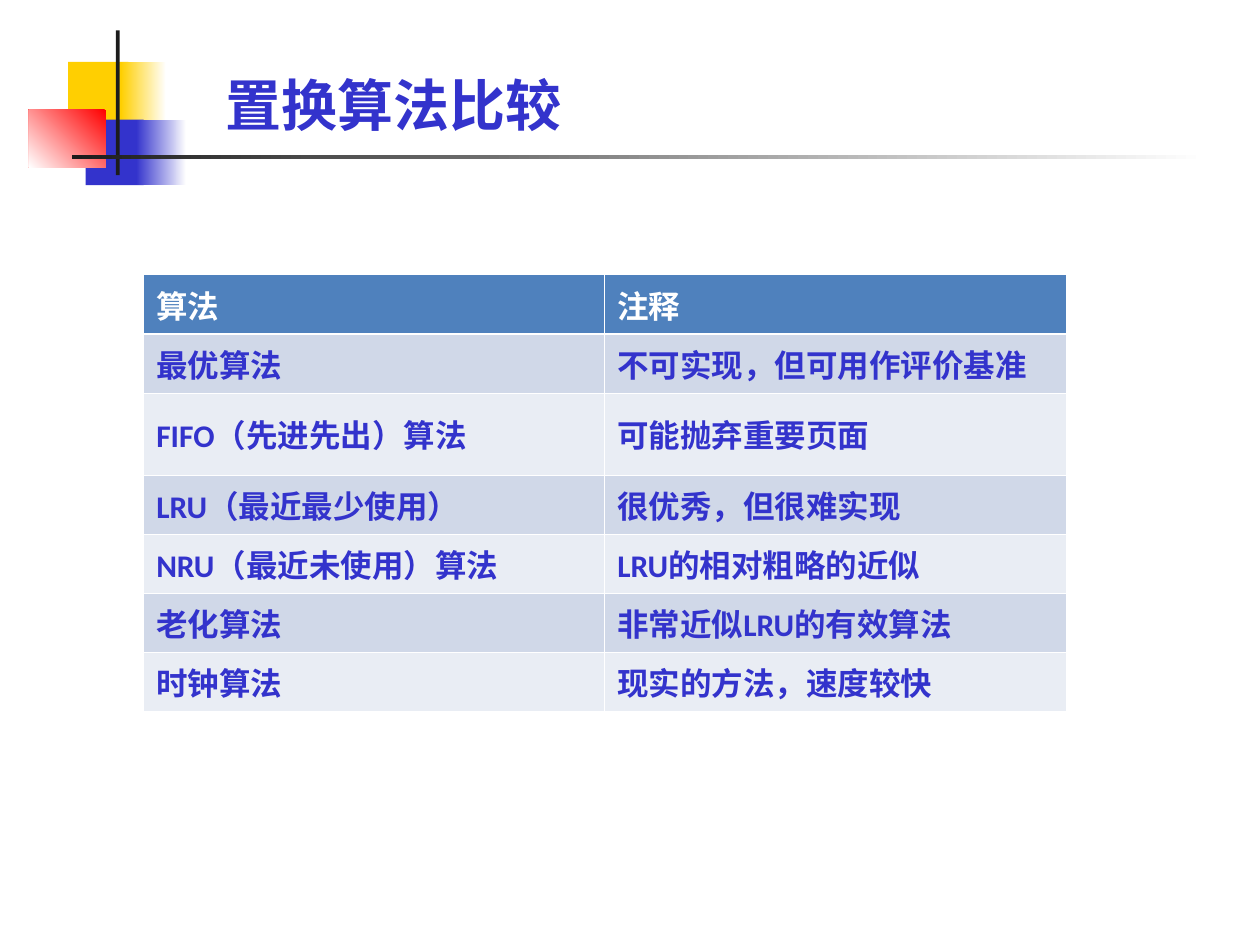
from lxml.etree import SubElement
from pptx import Presentation
from pptx.dml.color import RGBColor as RGB
from pptx.enum.shapes import MSO_SHAPE as Preset
from pptx.enum.text import MSO_ANCHOR as Anchor, MSO_AUTO_SIZE as AutoSize, PP_ALIGN as Align
from pptx.oxml import parse_xml
from pptx.oxml.ns import nsdecls, qn
from pptx.util import Inches, Pt

TITLE = "置换算法比较"
COMPARISON = [
    ("算法", "注释"),
    ("最优算法", "不可实现，但可用作评价基准"),
    ("FIFO（先进先出）算法", "可能抛弃重要页面"),
    ("LRU（最近最少使用）", "很优秀，但很难实现"),
    ("NRU（最近未使用）算法", "LRU的相对粗略的近似"),
    ("老化算法", "非常近似LRU的有效算法"),
    ("时钟算法", "现实的方法，速度较快"),
]
THEME = {
    "white": "FFFFFF", "blue": "3333CC", "yellow": "FFCF01", "red": "FF0000",
    "dark": "1C1C1C", "header": "4F81BD", "bands": ("E9EDF4", "D0D8E8"),
    "latin": "Calibri", "cjk": "Noto Sans CJK SC",
    "title_size": 32, "table_size": 18, "thin": 0.45, "thick": 1.47,
}
ORNAMENTS = [
    ((0.54, 0.49, 0.48, 0.52), ("yellow",), None),
    ((0.96, 0.49, 0.36, 0.52), ("white", "yellow"), 180),
    ((0.68, 0.95, 0.46, 0.52), ("blue",), None),
    ((1.08, 0.95, 0.4, 0.52), ("white", "blue"), 180),
    ((0.23, 0.87, 0.61, 0.46), ("red", "white"), 225),
    ((0.92, 0.24, 0.03, 1.15), ("dark",), None),
    ((0.57, 1.23, 9, 0.03), ("white", "dark"), 180),
]
TITLE_BOX = (1.69, 0.44, 3.15, 0.7)
TABLE_BOX = (1.14, 2.18, 7.32, 3.46)
ROW_HEIGHT, TALL_ROW, TALL_HEIGHT = 0.47, 2, 0.65


def inches(box):
    return [Inches(length) for length in box]


def apply(target, formats):
    for key, setting in formats.items():
        setattr(target, key, setting)


def write(frame, words, size, color, latin):
    paragraph = frame.paragraphs[0]
    paragraph.alignment = Align.LEFT
    run = paragraph.add_run()
    run.text = words
    apply(run.font, {"size": Pt(size), "bold": True, "name": latin})
    run.font.color.rgb = RGB.from_string(color)
    SubElement(run.font._element, qn("a:ea"), typeface=THEME["cjk"])


def add_ornament(slide, box, colors, angle):
    ornament = slide.shapes.add_shape(Preset.RECTANGLE, *inches(box))
    ornament.shadow.inherit = False
    ornament.line.fill.background()
    if angle is None:
        ornament.fill.solid()
        ornament.fill.fore_color.rgb = RGB.from_string(THEME[colors[0]])
        return
    ornament.fill.gradient()
    ornament.fill.gradient_angle = angle
    for stop, color, position in zip(ornament.fill.gradient_stops, colors, (0, 1)):
        stop.color.rgb = RGB.from_string(THEME[color])
        stop.position = position


def add_borders(cell, row):
    thin, thick = THEME["thin"], THEME["thick"]
    widths = {
        "lnL": thin, "lnR": thin,
        "lnT": thick if row == 1 else thin,
        "lnB": thick if row == 0 else thin,
    }
    properties = cell._tc.get_or_add_tcPr()
    for index, (edge, width) in enumerate(widths.items()):
        properties.insert(index, parse_xml(
            f'<a:{edge} {nsdecls("a")} w="{Pt(width)}"><a:solidFill>'
            f'<a:srgbClr val="{THEME["white"]}"/></a:solidFill></a:{edge}>'))


def add_comparison(slide):
    table = slide.shapes.add_table(
        len(COMPARISON), len(COMPARISON[0]), *inches(TABLE_BOX)).table
    for column in table.columns:
        column.width = Inches(TABLE_BOX[2] / len(COMPARISON[0]))
    for row, entries in enumerate(COMPARISON):
        table.rows[row].height = Inches(TALL_HEIGHT if row == TALL_ROW else ROW_HEIGHT)
        fill = THEME["bands"][row % 2] if row else THEME["header"]
        color = THEME["blue"] if row else THEME["white"]
        for column, words in enumerate(entries):
            cell = table.cell(row, column)
            cell.vertical_anchor = Anchor.MIDDLE
            cell.fill.solid()
            cell.fill.fore_color.rgb = RGB.from_string(fill)
            add_borders(cell, row)
            write(cell.text_frame, words, THEME["table_size"], color, THEME["latin"])


def main():
    deck = Presentation()
    apply(deck, {"slide_width": Inches(10), "slide_height": Inches(7.5)})
    slide = deck.slides.add_slide(deck.slide_layouts[5])
    for ornament in ORNAMENTS:
        add_ornament(slide, *ornament)
    title = slide.shapes.title
    apply(title, dict(zip(("left", "top", "width", "height"), inches(TITLE_BOX))))
    apply(title.text_frame, {"vertical_anchor": Anchor.BOTTOM, "word_wrap": True,
                             "auto_size": AutoSize.NONE})
    write(title.text_frame, TITLE, THEME["title_size"], THEME["blue"], THEME["cjk"])
    add_comparison(slide)
    deck.save("out.pptx")


if __name__ == "__main__":
    main()
